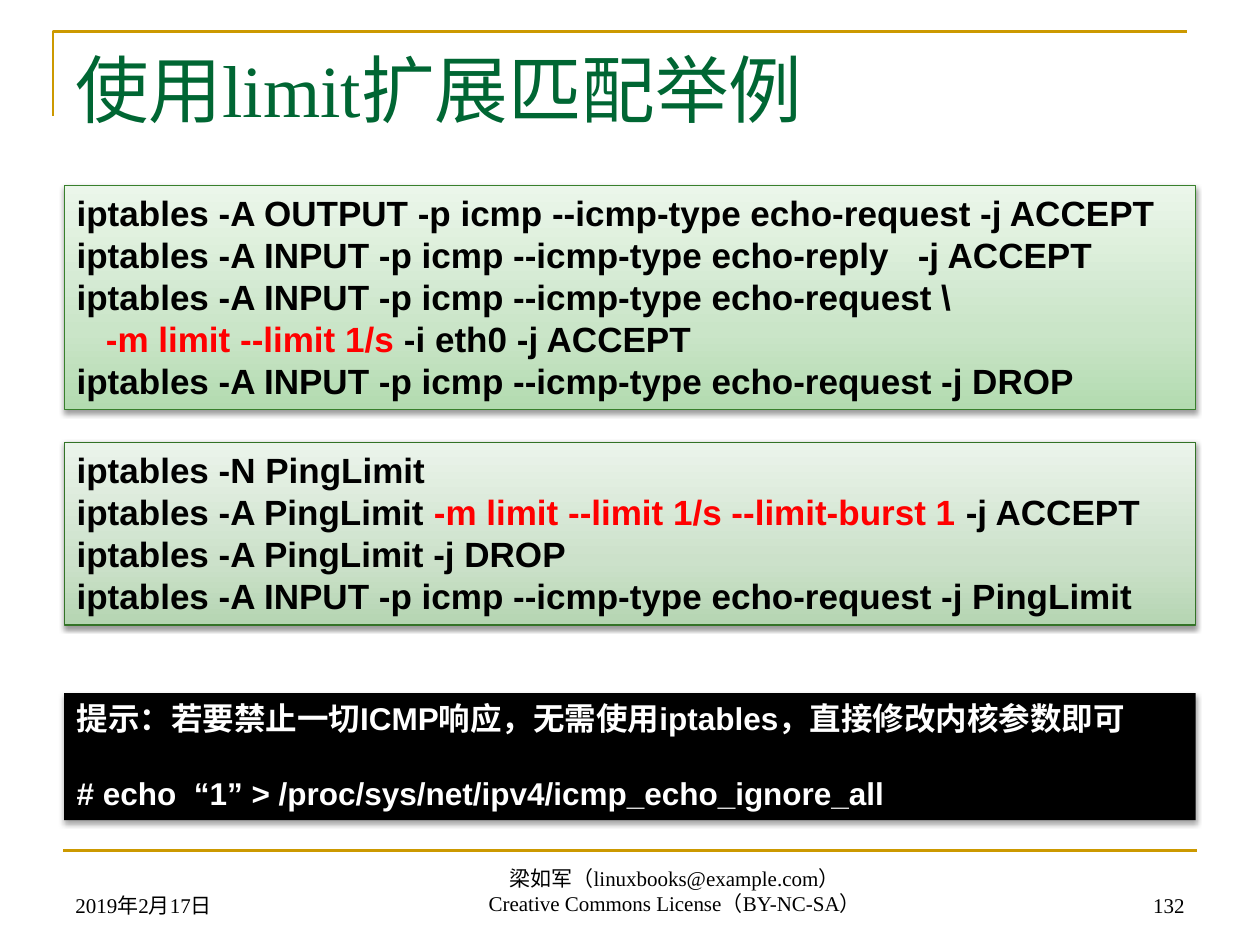
from copy import deepcopy

from lxml.etree import SubElement
from pptx import Presentation
from pptx.dml.color import RGBColor
from pptx.enum.shapes import MSO_CONNECTOR, MSO_SHAPE
from pptx.enum.text import MSO_ANCHOR, PP_ALIGN
from pptx.oxml.ns import qn
from pptx.util import Emu, Pt

SCALE = 9144  # 100 px to the inch
GOLD, GREEN, BLACK, WHITE, RED = "CC9900", "006633", "000000", "FFFFFF", "FF0000"
SERIF, SANS = "Times New Roman", "Arial"
BOX_LEFT, BOX_WIDTH = 51, 898

ACCEPT_RULES = [
    ["iptables -A OUTPUT -p icmp --icmp-type echo-request -j ACCEPT"],
    ["iptables -A INPUT -p icmp --icmp-type echo-reply   -j ACCEPT"],
    ["iptables -A INPUT -p icmp --icmp-type echo-request \\"],
    ["   ", "-m limit --limit 1/s ", "-i eth0 -j ACCEPT"],
    ["iptables -A INPUT -p icmp --icmp-type echo-request -j DROP"],
]
CHAIN_RULES = [
    ["iptables -N PingLimit"],
    ["iptables -A PingLimit ", "-m limit --limit 1/s --limit-burst 1 ", "-j ACCEPT"],
    ["iptables -A PingLimit -j DROP"],
    ["iptables -A INPUT -p icmp --icmp-type echo-request -j PingLimit"],
]
KERNEL_TIP = [
    ["提示：若要禁止一切ICMP响应，无需使用iptables，直接修改内核参数即可"],
    ["# echo  “1” > /proc/sys/net/ipv4/icmp_echo_ignore_all"],
]


def px(*lengths):
    return [Emu(length * SCALE) for length in lengths]


def color(value):
    return RGBColor.from_string(value)


def write_lines(text_frame, lines, size, font_name, font_color,
                bold=False, align=PP_ALIGN.LEFT):
    """Write one paragraph per line; the second part of a line is highlighted."""
    text_frame.word_wrap = True
    for index, parts in enumerate(lines):
        paragraph = text_frame.paragraphs[0] if index == 0 else text_frame.add_paragraph()
        paragraph.alignment = align
        for position, part in enumerate(parts):
            run = paragraph.add_run()
            run.text = part
            run.font.size = Pt(size)
            run.font.name = font_name
            run.font.bold = bold
            run.font.color.rgb = color(RED if position == 1 else font_color)


def add_label(slide, box, lines, size=12, font_color=BLACK,
              align=PP_ALIGN.LEFT, anchor=MSO_ANCHOR.BOTTOM):
    text_frame = slide.shapes.add_textbox(*px(*box)).text_frame
    text_frame.vertical_anchor = anchor
    write_lines(text_frame, [[line] for line in lines], size, SERIF, font_color, align=align)


def add_shadow(shape, opacity, distance):
    shape.shadow.inherit = False
    effects = shape._element.spPr.find(qn("a:effectLst"))
    shadow = SubElement(effects, qn("a:outerShdw"), blurRad=str(Pt(3.1)),
                        dist=str(Pt(distance)), dir="5400000", rotWithShape="0")
    shade = SubElement(shadow, qn("a:srgbClr"), val=BLACK)
    SubElement(shade, qn("a:alpha"), val=str(opacity * 1000))


def fill_gradient(shape, stop_colors):
    """Fill with three colours from bottom to top."""
    shape.fill.gradient()
    shape.fill.gradient_angle = 90
    stop_list = shape._element.spPr.find(".//" + qn("a:gsLst"))
    stop_list.append(deepcopy(stop_list[-1]))
    for stop, position, value in zip(shape.fill.gradient_stops, (0, 0.35, 1), stop_colors):
        stop.position = position
        stop.color.rgb = color(value)


def add_panel(slide, top, height, lines, size, font_color):
    shape = slide.shapes.add_shape(
        MSO_SHAPE.RECTANGLE, *px(BOX_LEFT, top, BOX_WIDTH, height))
    shape.text_frame.vertical_anchor = MSO_ANCHOR.TOP
    write_lines(shape.text_frame, lines, size, SANS, font_color, bold=True)
    return shape


def add_code_panel(slide, top, height, lines, stop_colors, line_color):
    shape = add_panel(slide, top, height, lines, 20, BLACK)
    fill_gradient(shape, stop_colors)
    shape.line.color.rgb = color(line_color)
    shape.line.width = Pt(0.75)
    add_shadow(shape, 38, 1.6)


def add_tip_panel(slide, top, height, lines):
    shape = add_panel(slide, top, height, lines, 18, WHITE)
    shape.text_frame.paragraphs[1].space_before = Pt(21)
    shape.fill.solid()
    shape.fill.fore_color.rgb = color(BLACK)
    shape.line.fill.background()
    add_shadow(shape, 35, 1.8)


def style_rule(shape):
    shape.line.color.rgb = color(GOLD)
    shape.line.width = Pt(1.5)


def add_frame_lines(slide):
    builder = slide.shapes.build_freeform(42, 92, scale=SCALE)
    builder.add_line_segments([(42, 25), (942, 25)], close=False)
    corner = builder.convert_to_shape()
    corner.fill.background()
    corner.shadow.inherit = False
    style_rule(corner)

    footer_rule = slide.shapes.add_connector(
        MSO_CONNECTOR.STRAIGHT, *px(50, 675, 950, 675))
    style_rule(footer_rule)
    SubElement(footer_rule._element.spPr, qn("a:effectLst"))


def main():
    presentation = Presentation()
    presentation.slide_width, presentation.slide_height = px(1000, 750)
    slide = presentation.slides.add_slide(presentation.slide_layouts[6])

    add_frame_lines(slide)
    add_label(slide, (50, 30, 900, 125), ["使用limit扩展匹配举例"], 42, GREEN,
              anchor=MSO_ANCHOR.TOP)
    add_label(slide, (50, 683, 233, 50), ["2019年2月17日"])
    add_label(slide, (240, 682, 591, 50),
              ["梁如军（linuxbooks@example.com）", "Creative Commons License（BY-NC-SA）"],
              align=PP_ALIGN.CENTER)
    add_label(slide, (717, 683, 233, 50), ["132"], align=PP_ALIGN.RIGHT)

    add_code_panel(slide, 147, 178, ACCEPT_RULES, ("B3DBB0", "CAE5C8", "EBF6EA"), "38802C")
    add_code_panel(slide, 351, 145, CHAIN_RULES, ("B5D5B2", "CCE1CA", "EBF4EB"), "337327")
    add_tip_panel(slide, 550, 101, KERNEL_TIP)
    presentation.save("out.pptx")


if __name__ == "__main__":
    main()
